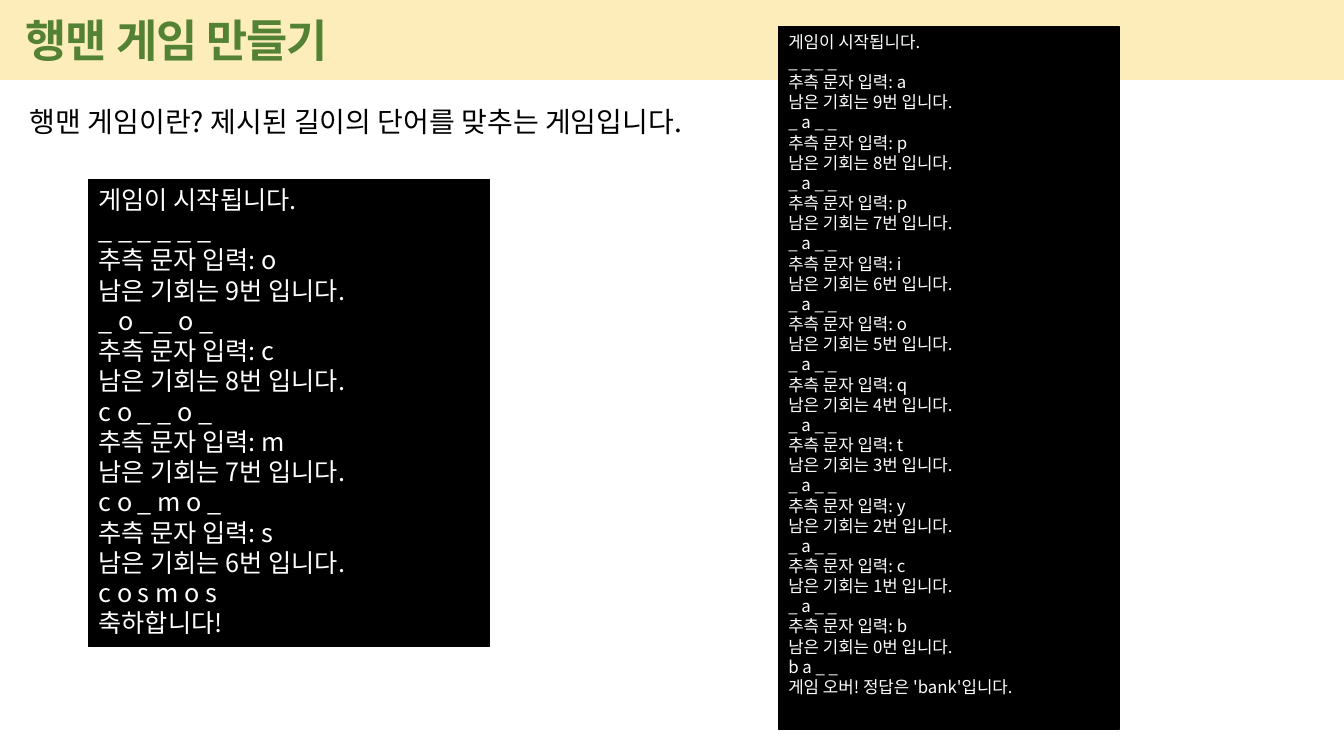
from lxml import etree
from pptx import Presentation
from pptx.dml.color import RGBColor
from pptx.enum.shapes import MSO_SHAPE
from pptx.enum.text import MSO_ANCHOR, PP_ALIGN
from pptx.oxml.ns import qn
from pptx.util import Pt

RECT = MSO_SHAPE.RECTANGLE
TOP, MIDDLE = MSO_ANCHOR.TOP, MSO_ANCHOR.MIDDLE
LEFT = PP_ALIGN.LEFT

COLORS = {"band": "FABE00", "title": "548235", "console": "000000",
          "output": "FFFFFF", "body": "000000"}
TITLE_FONT, BODY_FONT = "Noto Sans", "Noto Sans CJK KR"
LINE_PITCH = 1.2


def color(name):
    return RGBColor.from_string(COLORS[name])


def write(frame, lines, *, size, ink, font=BODY_FONT, bold=False,
          anchor=TOP, spacing=None, tracking=None):
    """Fill a text frame, one paragraph per line; tracking is in points."""
    frame.word_wrap = True
    frame.vertical_anchor = anchor
    for number, line in enumerate(lines):
        paragraph = frame.add_paragraph() if number else frame.paragraphs[0]
        paragraph.alignment = LEFT
        paragraph.line_spacing = spacing or Pt(size * LINE_PITCH)
        run = paragraph.add_run()
        run.text = line
        run.font.size = Pt(size)
        run.font.bold = bold
        run.font.name = font
        run.font.color.rgb = color(ink)
        properties = run.font._element
        etree.SubElement(properties, qn("a:ea")).set("typeface", font)
        if tracking:
            properties.set("spc", str(int(tracking * 100)))


def add_rect(slide, box, fill):
    rect = slide.shapes.add_shape(RECT, *map(Pt, box))
    rect.shadow.inherit = False
    rect.fill.solid()
    rect.fill.fore_color.rgb = color(fill)
    return rect


def add_header(slide, box, title):
    left, top, width, height = box
    band = add_rect(slide, box, "band")
    band.line.fill.background()
    tint = band.fill._xPr.find(qn("a:solidFill"))[0]
    etree.SubElement(tint, qn("a:alpha")).set("val", "27000")

    heading = slide.shapes.add_textbox(Pt(left + 11.5), Pt(top + 4.3),
                                       Pt(width - 143), Pt(height - 4.3))
    write(heading.text_frame, [title], size=32, ink="title", font=TITLE_FONT,
          bold=True, anchor=MIDDLE, spacing=0.9, tracking=-1)


def add_intro(slide, box, sentence):
    intro = slide.shapes.add_textbox(*map(Pt, box))
    write(intro.text_frame, [sentence], size=20, ink="body")


def add_console(slide, box, lines, size):
    console = add_rect(slide, box, "console")
    console.line.color.rgb = color("console")
    console.line.width = Pt(1)
    write(console.text_frame, lines, size=size, ink="output")


def game_log(guesses, boards, ending):
    """Lines of one game: boards holds the start and the state after each guess."""
    lines = ["게임이 시작됩니다.", " ".join(boards[0])]
    for turn, (guess, board) in enumerate(zip(guesses, boards[1:])):
        lines += [f"추측 문자 입력: {guess}",
                  f"남은 기회는 {9 - turn}번 입니다.",
                  " ".join(board)]
    return lines + [ending]


def main():
    deck = Presentation()
    deck.slide_width, deck.slide_height = Pt(960), Pt(540)
    slide = deck.slides.add_slide(deck.slide_layouts[6])

    won_game = game_log("ocms", ["______", "_o__o_", "co__o_", "co_mo_", "cosmos"],
                        "축하합니다!")
    lost_game = game_log("appioqtycb", ["____"] + ["_a__"] * 9 + ["ba__"],
                         "게임 오버! 정답은 'bank'입니다.")

    add_header(slide, (0, 0, 960, 57), "행맨 게임 만들기")
    add_console(slide, (556, 19, 243.5, 502), lost_game, 12)
    add_console(slide, (63.3, 128, 286.5, 334), won_game, 18)
    add_intro(slide, (14.2, 71.3, 542, 31.5),
              "행맨 게임이란? 제시된 길이의 단어를 맞추는 게임입니다.")
    deck.save("out.pptx")


if __name__ == "__main__":
    main()
